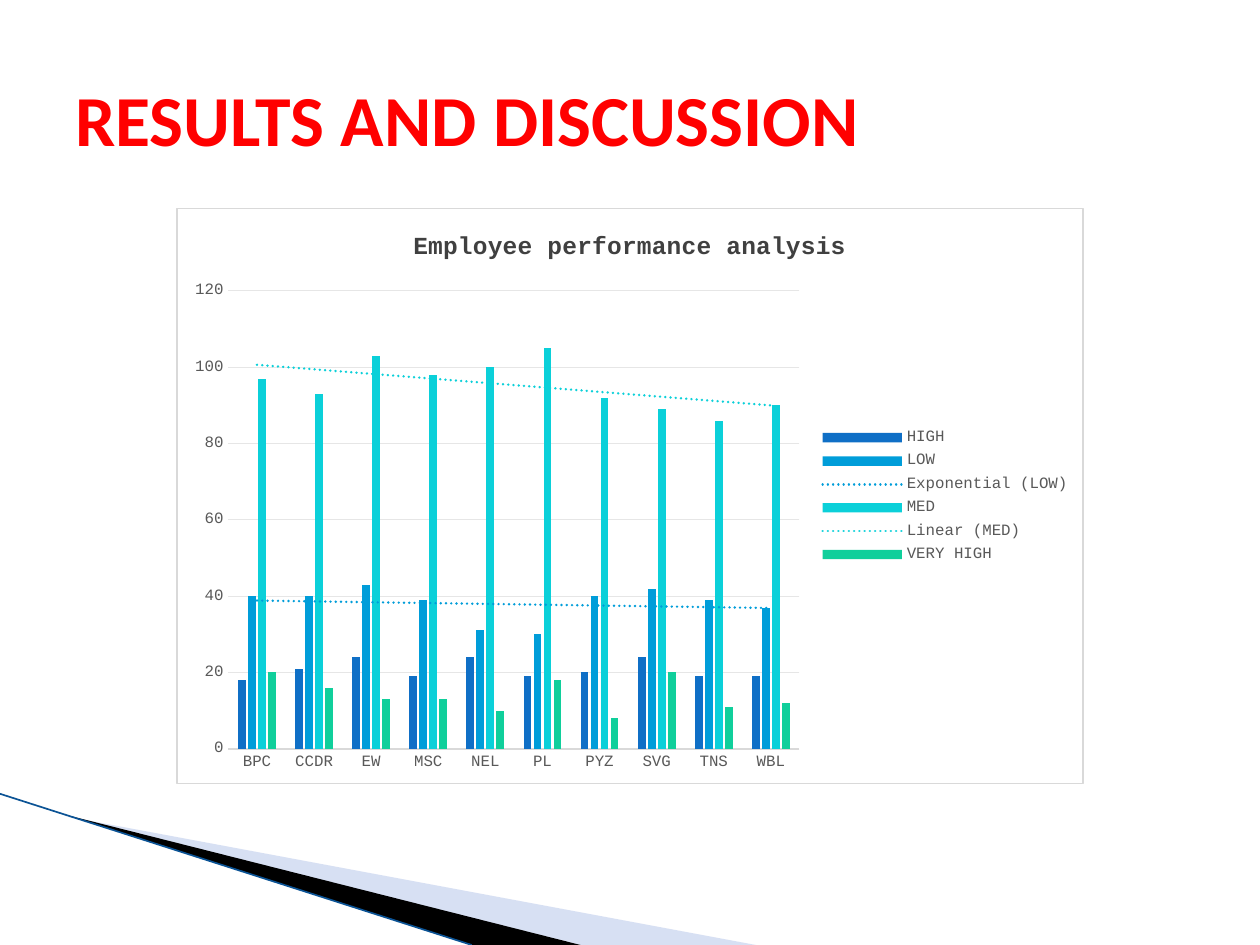
from dataclasses import dataclass
from lxml.etree import SubElement
from pptx import Presentation
from pptx.chart.data import CategoryChartData
from pptx.dml.color import RGBColor as RGB
from pptx.enum.chart import XL_CHART_TYPE as CT, XL_LEGEND_POSITION as LP, XL_TICK_MARK as TM
from pptx.enum.shapes import MSO_CONNECTOR as CONN
from pptx.enum.text import MSO_ANCHOR as ANCHOR
from pptx.oxml import parse_xml
from pptx.oxml.ns import nsdecls, qn
from pptx.util import Inches, Pt


@dataclass(frozen=True)
class Theme:
    heading_font: str = "Calibri"
    chart_font: str = "Courier New"
    heading_size: float = 41
    chart_title_size: float = 14
    label_size: float = 9
    thin: float = 0.75
    edge_width: float = 0.95
    trend_width: float = 1.5
    heading: str = "FF0000"
    chart_title: str = "404040"
    label: str = "595959"
    border: str = "D9D9D9"
    grid: str = "E6E6E6"
    paper: str = "FFFFFF"
    pale: str = "9DB2E1"
    pale_alpha: int = 40000
    dark: str = "000000"
    edge: str = "0B5395"
    series: tuple = ("0F6FC6", "009DD9", "0BD0D9", "10CF9B")


@dataclass(frozen=True)
class Box:
    x: int
    y: int
    w: int
    h: int

    def region(self, x, y, w, h):
        return Box(*self.point(x, y), int(self.w * w), int(self.h * h))

    def point(self, x, y):
        return int(self.x + self.w * x), int(self.y + self.h * y)

    def bounds(self):
        return self.x, self.y, self.w, self.h


T = Theme()
CATEGORIES = ("BPC", "CCDR", "EW", "MSC", "NEL", "PL", "PYZ", "SVG", "TNS", "WBL")
LEVELS = {
    "HIGH": (18, 21, 24, 19, 24, 19, 20, 24, 19, 19),
    "LOW": (40, 40, 43, 39, 31, 30, 40, 42, 39, 37),
    "MED": (97, 93, 103, 98, 100, 105, 92, 89, 86, 90),
    "VERY HIGH": (20, 16, 13, 13, 10, 18, 8, 20, 11, 12),
}
TRENDS = {"LOW": "exp", "MED": "linear"}


def style_font(font, name, size, color, bold=False):
    font.name, font.size, font.bold = name, Pt(size), bold
    font.color.rgb = RGB.from_string(color)


def style_line(line, color, width):
    line.color.rgb = RGB.from_string(color)
    line.width = Pt(width)


def add_wedge(slide, box, points, color, alpha=None):
    start, *rest = [box.point(*point) for point in points]
    builder = slide.shapes.build_freeform(*start)
    builder.add_line_segments(rest, close=True)
    s = builder.convert_to_shape()
    s.shadow.inherit = False
    s.fill.solid()
    s.fill.fore_color.rgb = RGB.from_string(color)
    s.line.fill.background()
    if alpha:
        clr = s._element.spPr.find(qn("a:solidFill")).find(qn("a:srgbClr"))
        SubElement(clr, qn("a:alpha"), val=str(alpha))


def add_corner(slide, box):
    add_wedge(slide, box, ((0.11, 0.15), (1.25, 1), (0.96, 1)), T.pale, T.pale_alpha)
    add_wedge(slide, box, ((0.11, 0.14), (0.96, 1), (0.78, 1)), T.dark)
    s = slide.shapes.add_connector(CONN.STRAIGHT, *box.point(0, 0), *box.point(0.78, 1))
    style_line(s.line, T.edge, T.edge_width)
    SubElement(s._element.spPr, qn("a:effectLst"))


def add_heading(slide, box):
    tf = slide.shapes.add_textbox(*box.bounds()).text_frame
    tf.word_wrap = True
    tf.vertical_anchor = ANCHOR.MIDDLE
    p = tf.paragraphs[0]
    p.text = "RESULTS AND DISCUSSION"
    style_font(p.font, T.heading_font, T.heading_size, T.heading, True)


def outline(color, width, dash="solid"):
    return (f'<a:ln w="{Pt(width)}" cap="rnd"><a:solidFill><a:srgbClr val="{color}"/>'
            f'</a:solidFill><a:prstDash val="{dash}"/></a:ln>')


def add_trend(series, kind, color):
    trend = parse_xml(
        f'<c:trendline {nsdecls("c", "a")}>'
        f'<c:spPr>{outline(color, T.trend_width, "sysDot")}</c:spPr>'
        f'<c:trendlineType val="{kind}"/><c:dispRSqr val="0"/><c:dispEq val="0"/>'
        '</c:trendline>')
    series._element.find(qn("c:cat")).addprevious(trend)


def frame_chart(chart):
    frame = parse_xml(
        f'<c:spPr {nsdecls("c", "a")}><a:solidFill><a:srgbClr val="{T.paper}"/>'
        f'</a:solidFill>{outline(T.border, T.thin)}</c:spPr>')
    chart._chartSpace.find(qn("c:chart")).addnext(frame)


def style_axes(chart):
    for axis in (chart.category_axis, chart.value_axis):
        axis.major_tick_mark = axis.minor_tick_mark = TM.NONE
        style_font(axis.tick_labels.font, T.chart_font, T.label_size, T.label)
    style_line(chart.category_axis.format.line, T.border, T.thin)
    values = chart.value_axis
    values.minimum_scale, values.maximum_scale, values.major_unit = 0, 120, 20
    values.format.line.fill.background()
    style_line(values.major_gridlines.format.line, T.grid, T.thin)


def add_performance_chart(slide, box):
    data = CategoryChartData()
    data.categories = CATEGORIES
    for name, values in LEVELS.items():
        data.add_series(name, values)
    chart = slide.shapes.add_chart(CT.COLUMN_CLUSTERED, *box.bounds(), data).chart
    style_font(chart.font, T.chart_font, T.label_size, T.label)
    frame_chart(chart)

    p = chart.chart_title.text_frame.paragraphs[0]
    p.text = "Employee performance analysis"
    style_font(p.font, T.chart_font, T.chart_title_size, T.chart_title, True)

    chart.has_legend = True
    chart.legend.position = LP.RIGHT
    chart.legend.include_in_layout = False
    style_font(chart.legend.font, T.chart_font, T.label_size, T.label)
    style_axes(chart)

    plot = chart.plots[0]
    plot.gap_width, plot.overlap, plot.vary_by_categories = 246, -28, False
    for series, color in zip(plot.series, T.series):
        series.format.fill.solid()
        series.format.fill.fore_color.rgb = RGB.from_string(color)
        if series.name in TRENDS:
            add_trend(series, TRENDS[series.name], color)


def main():
    prs = Presentation()
    prs.slide_width, prs.slide_height = Inches(10), Inches(7.5)
    slide = prs.slides.add_slide(prs.slide_layouts[6])
    page = Box(0, 0, prs.slide_width, prs.slide_height)
    add_corner(slide, page.region(0, 0.84, 0.48, 0.16))
    add_heading(slide, page.region(0.05, 0.04, 0.9, 0.17))
    add_performance_chart(slide, page.region(0.14, 0.22, 0.72, 0.61))
    prs.save("out.pptx")


if __name__ == "__main__":
    main()
